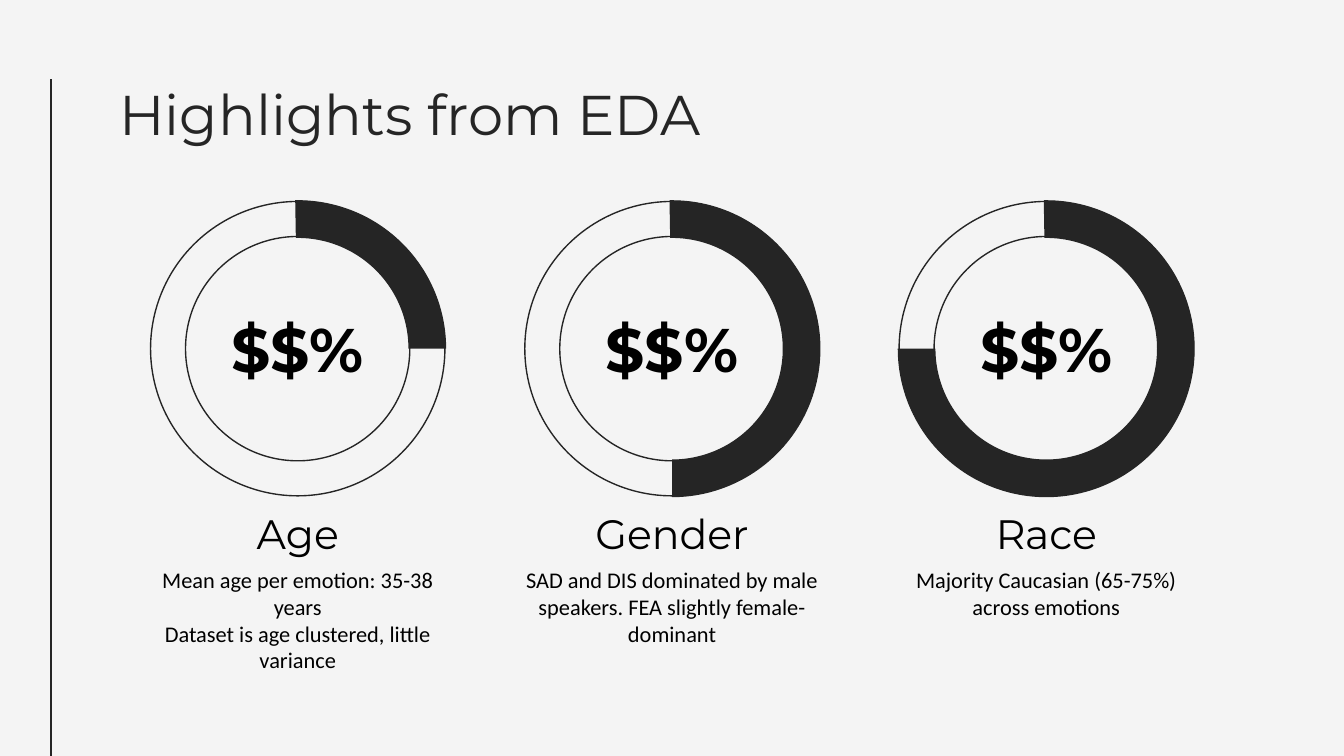
from dataclasses import dataclass

from lxml import etree
from pptx import Presentation
from pptx import util as u
from pptx.dml import color
from pptx.enum import shapes, text
from pptx.oxml import ns


@dataclass(frozen=True)
class Theme:
    """Colours, fonts and type sizes of the slide."""
    paper: str = "F4F4F4"
    ink: str = "252525"
    black: str = "000000"
    display: str = "Montserrat"
    body: str = "Calibri"
    title_size: float = 30
    value_size: float = 33
    label_size: float = 22
    body_size: float = 12
    line_width: float = 0.75


THEME = Theme()
FIRST_CENTER, PITCH, RING_Y = 159.5, 200.5, 186.8
RING_SIZE, ARC_SIZE = 157.7, 159.1
ARC_END, QUARTER_TURN = 162.57, 54

HIGHLIGHTS = [
    ("Age", 1, "Mean age per emotion: 35-38 years\nDataset is age clustered, little variance"),
    ("Gender", 2, "SAD and DIS dominated by male speakers. FEA slightly female-dominant"),
    ("Race", 3, "Majority Caucasian (65-75%) across emotions"),
]


def rgb(value):
    """Turn a hex string into a colour."""
    return color.RGBColor.from_string(value)


def add_text(slide, content, box, size, font, ink=THEME.black, bold=False,
             align=text.PP_ALIGN.CENTER, anchor=text.MSO_ANCHOR.TOP):
    """Add a wrapped text box in one style."""
    tf = slide.shapes.add_textbox(*map(u.Pt, box)).text_frame
    tf.word_wrap = True
    tf.vertical_anchor = anchor
    tf.margin_left = tf.margin_right = tf.margin_top = tf.margin_bottom = u.Pt(7.2)
    tf.text = content
    for p in tf.paragraphs:
        p.alignment = align
        for r in p.runs:
            r.font.name, r.font.size, r.font.bold = font, u.Pt(size), bold
            r.font.color.rgb = rgb(ink)


def add_rule(slide, x, top, bottom):
    """Draw the vertical rule at the left margin."""
    s = slide.shapes.add_connector(
        shapes.MSO_CONNECTOR.STRAIGHT, u.Pt(x), u.Pt(bottom), u.Pt(x), u.Pt(top))
    s.line.color.rgb = rgb(THEME.ink)
    s.line.width = u.Pt(THEME.line_width)
    etree.SubElement(s.element.spPr, ns.qn("a:effectLst"))


def add_round(slide, kind, center, size, adjustments):
    """Add a shadowless round shape centred on the ring row."""
    s = slide.shapes.add_shape(
        kind, u.Pt(center - size / 2), u.Pt(RING_Y - size / 2), u.Pt(size), u.Pt(size))
    s.shadow.inherit = False
    for i, value in enumerate(adjustments):
        s.adjustments[i] = value
    return s


def add_gauge(slide, center, quarters):
    """Draw an outlined ring with some quarters filled clockwise from the top."""
    ring = add_round(slide, shapes.MSO_SHAPE.DONUT, center, RING_SIZE, [0.119])
    ring.fill.background()
    ring.line.color.rgb = rgb(THEME.ink)
    ring.line.width = u.Pt(THEME.line_width)

    start = 3 * QUARTER_TURN - quarters * QUARTER_TURN
    arc = add_round(slide, shapes.MSO_SHAPE.BLOCK_ARC, center, ARC_SIZE,
                    [start, ARC_END, 0.127])
    arc.element.spPr.find(ns.qn("a:xfrm")).set("flipH", "1")
    arc.fill.solid()
    arc.fill.fore_color.rgb = rgb(THEME.ink)
    arc.line.fill.background()


def add_highlight(slide, center, label, quarters, detail):
    """Add one column: gauge, value, label and detail."""
    add_gauge(slide, center, quarters)
    left, width = center - 85.5, 171
    add_text(slide, detail, (left, 296, width, 57.6), THEME.body_size, THEME.body)
    add_text(slide, label, (left, 266.4, width, 39.6), THEME.label_size,
             THEME.display, anchor=text.MSO_ANCHOR.BOTTOM)
    add_text(slide, "$$%", (center - 56, 163.5, 112, 46), THEME.value_size,
             THEME.display, bold=True, anchor=text.MSO_ANCHOR.MIDDLE)


def main():
    """Build and save the slide."""
    prs = Presentation()
    prs.slide_width, prs.slide_height = u.Pt(720), u.Pt(405)
    slide = prs.slides.add_slide(prs.slide_layouts[6])
    slide.background.fill.solid()
    slide.background.fill.fore_color.rgb = rgb(THEME.paper)

    add_rule(slide, 27.4, 42.5, 405)
    add_text(slide, "Highlights from EDA", (56.9, 35.3, 607, 45.4), THEME.title_size,
             THEME.display, THEME.ink, align=text.PP_ALIGN.LEFT)
    for i, highlight in enumerate(HIGHLIGHTS):
        add_highlight(slide, FIRST_CENTER + i * PITCH, *highlight)
    prs.save("out.pptx")


if __name__ == "__main__":
    main()
